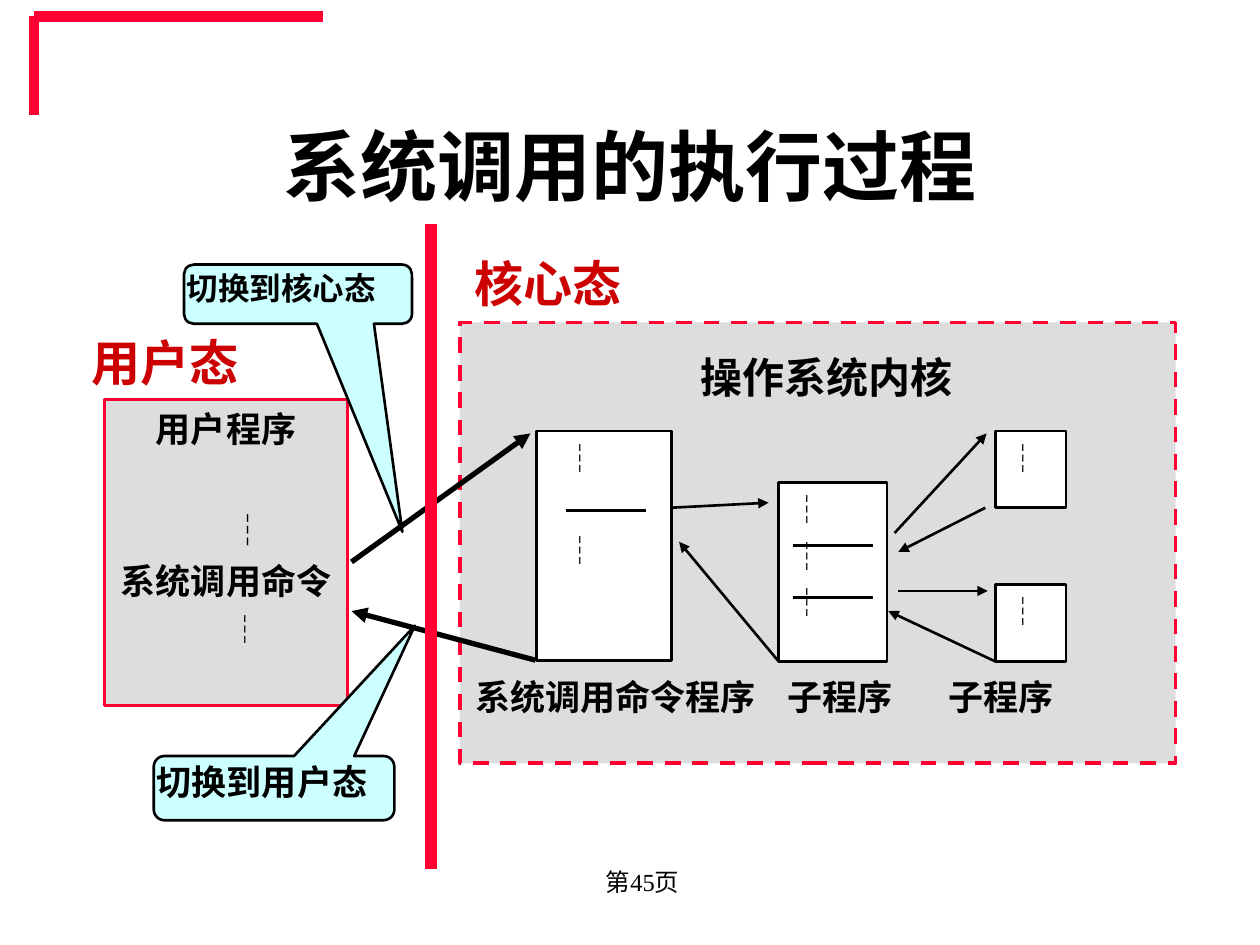
from lxml.etree import SubElement
from pptx import Presentation
from pptx.dml.color import RGBColor
from pptx.enum.dml import MSO_LINE
from pptx.enum.shapes import MSO_CONNECTOR, MSO_SHAPE
from pptx.enum.text import MSO_ANCHOR, PP_ALIGN
from pptx.oxml.ns import qn
from pptx.util import Inches, Pt

RED, DARK_RED, BLACK, WHITE = "FF0033", "CC0000", "000000", "FFFFFF"
GREY, CYAN = "DDDDDD", "CCFFFF"
SERIF, SANS = "Times New Roman", "Noto Sans CJK SC"
LINE_HEIGHT = 1.25  # of the text size
MARK = "┆"


def rgb(color):
    return RGBColor.from_string(color)


def write(frame, text, size=18, font=SERIF, color=BLACK, bold=True,
          align=PP_ALIGN.LEFT, before=0, indent=0, tabs=()):
    """Add one paragraph, using the empty first one when there is one."""
    first = frame.paragraphs[0]
    paragraph = frame.add_paragraph() if first.runs else first
    paragraph.alignment = align
    paragraph.line_spacing = Pt(size * LINE_HEIGHT)
    paragraph.space_before = Pt(before)
    properties = paragraph._p.get_or_add_pPr()
    properties.set("marL", str(Inches(indent)))
    if tabs:
        stops = SubElement(properties, qn("a:tabLst"))
        for tab in tabs:
            SubElement(stops, qn("a:tab"), pos=str(Inches(tab)), algn="l")
    run = paragraph.add_run()
    run.text = text
    run.font.size, run.font.bold, run.font.name = Pt(size), bold, font
    run.font.color.rgb = rgb(color)


def set_frame(frame, inset_x, inset_y, anchor):
    frame.word_wrap = True
    frame.vertical_anchor = anchor
    frame.margin_left = frame.margin_right = Inches(inset_x)
    frame.margin_top = frame.margin_bottom = Inches(inset_y)
    return frame


def add_label(slide, box, text, anchor=MSO_ANCHOR.TOP, **text_format):
    label = slide.shapes.add_textbox(*map(Inches, box))
    write(set_frame(label.text_frame, 0.1, 0.05, anchor), text, **text_format)


def add_box(slide, box, fill, line=None, width=1.5, dash=None,
            inset=(0.1, 0.05), kind=MSO_SHAPE.RECTANGLE, adjust=()):
    """Draw a filled shape and return its text frame."""
    shape = slide.shapes.add_shape(kind, *map(Inches, box))
    shape.shadow.inherit = False
    shape.fill.solid()
    shape.fill.fore_color.rgb = rgb(fill)
    if line:
        shape.line.color.rgb = rgb(line)
        shape.line.width = Pt(width)
        if dash:
            shape.line.dash_style = dash
    else:
        shape.line.fill.background()
    for index, value in enumerate(adjust):
        shape.adjustments[index] = value
    return set_frame(shape.text_frame, *inset, MSO_ANCHOR.TOP)


def add_line(slide, points, color=BLACK, width=1.5, arrow=False):
    line = slide.shapes.add_connector(MSO_CONNECTOR.STRAIGHT, *map(Inches, points))
    line.line.color.rgb = rgb(color)
    line.line.width = Pt(width)
    if arrow:
        SubElement(line.line._get_or_add_ln(), qn("a:tailEnd"), type="triangle")
    SubElement(line._element.spPr, qn("a:effectLst"))


def add_callout(slide, box, text, size, tip):
    frame = add_box(slide, box, CYAN, BLACK, inset=(0, 0),
                    kind=MSO_SHAPE.ROUNDED_RECTANGULAR_CALLOUT,
                    adjust=(*tip, 0.167))
    write(frame, text, size=size)


def add_user_program(slide):
    program = add_box(slide, (0.83, 3.17, 1.93, 2.43), GREY, RED, inset=(0, 0.05))
    centred = {"align": PP_ALIGN.CENTER}
    write(program, "用户程序", size=20, **centred)
    write(program, MARK, size=20, font=SANS, before=33, indent=0.34, **centred)
    write(program, "系统调用命令", size=20, before=4, **centred)
    write(program, MARK, font=SANS, before=4, indent=0.3, **centred)


def add_kernel(slide):
    add_box(slide, (3.65, 2.56, 5.68, 3.5), GREY, RED, 2.25, MSO_LINE.DASH)

    # Routines: box, number of marks, space between marks, indent
    routines = [
        ((4.26, 3.42, 1.07, 1.82), 2, 30, 0.12),
        ((6.18, 3.83, 0.86, 1.42), 3, 4, 0),
        ((7.9, 3.42, 0.56, 0.61), 1, 0, 0),
        ((7.9, 4.64, 0.56, 0.61), 1, 0, 0),
    ]
    for box, marks, gap, indent in routines:
        routine = add_box(slide, box, WHITE, BLACK)
        for index in range(marks):
            write(routine, MARK, font=SANS, indent=indent,
                  before=gap if index else 0)

    # Call statements inside the routines
    for left, y in [(4.49, 4.05), (6.29, 4.33), (6.29, 4.74)]:
        add_line(slide, (left, y, left + 0.64, y))

    # Calls and returns
    mode_switches = [(4.25, 5.24, 2.79, 4.85), (2.79, 4.46, 4.21, 3.44)]
    inner_calls = [
        (7.1, 4.23, 7.83, 3.44), (7.82, 4.03, 7.13, 4.38),
        (7.13, 4.69, 7.84, 4.69), (7.9, 5.25, 7.05, 4.85),
        (5.32, 4.03, 6.1, 3.99), (6.18, 5.25, 5.39, 4.3),
    ]
    for points in mode_switches:
        add_line(slide, points, width=3, arrow=True)
    for points in inner_calls:
        add_line(slide, points, arrow=True)

    # Heading and routine names
    heading = add_box(slide, (3.67, 2.76, 5.63, 0.61), GREY, inset=(0.02, 0.01))
    write(heading, "操作系统内核", size=24, align=PP_ALIGN.CENTER, indent=0.15)
    names = add_box(slide, (3.75, 5.34, 4.89, 0.51), GREY, inset=(0.02, 0.01))
    write(names, "系统调用命令程序\t子程序\t子程序", size=20, tabs=(2.48, 3.76))


def main():
    deck = Presentation()
    deck.slide_width, deck.slide_height = Inches(10), Inches(7.5)
    slide = deck.slides.add_slide(deck.slide_layouts[6])

    # Corner ornament, page number and title
    for end in [(2.56, 0.13), (0.27, 0.91)]:
        add_line(slide, (0.27, 0.13, *end), RED, 6)
    add_label(slide, (4.06, 6.74, 2.08, 0.5), "第45页", MSO_ANCHOR.MIDDLE,
              size=14, bold=False, align=PP_ALIGN.CENTER)
    add_label(slide, (0.75, 0.67, 8.5, 1.25), "系统调用的执行过程",
              MSO_ANCHOR.MIDDLE, size=44, align=PP_ALIGN.CENTER)

    # User program and kernel; calls cross over the kernel border
    add_user_program(slide)
    add_kernel(slide)

    # Mode switch callouts
    add_callout(slide, (1.22, 6, 1.91, 0.51), "切换到用户态", 20, (0.585, -2.529))
    add_callout(slide, (1.46, 2.1, 1.81, 0.47), "切换到核心态", 18, (0.458, 4.011))

    # Border between the modes and their names
    add_line(slide, (3.42, 1.78, 3.42, 6.9), RED, 7)
    for left, top, mode in [(0.63, 2.57, "用户态"), (3.67, 1.94, "核心态")]:
        add_label(slide, (left, top, 1.48, 0.57), mode,
                  size=28, font=SANS, color=DARK_RED)

    deck.save("out.pptx")


if __name__ == "__main__":
    main()
